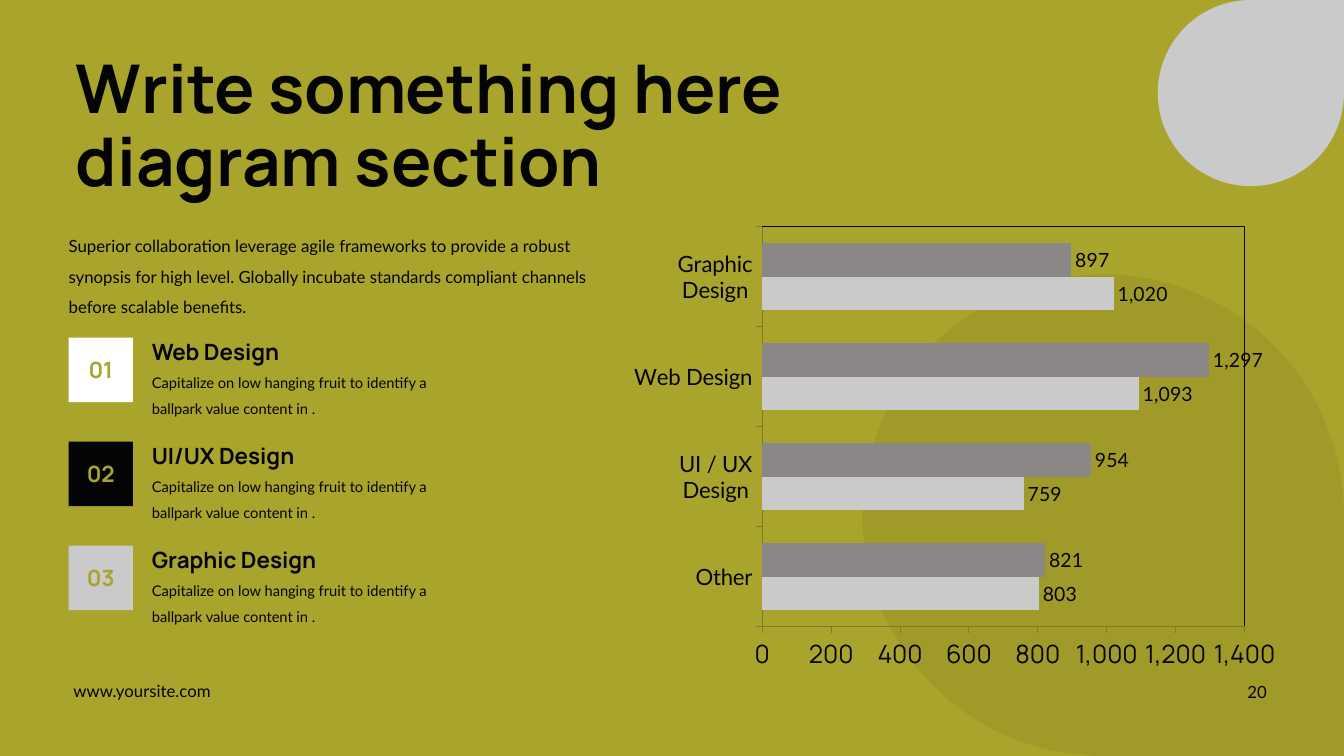
from dataclasses import dataclass

from lxml.etree import SubElement
from pptx import Presentation
from pptx.chart.data import CategoryChartData
from pptx.dml.color import RGBColor
from pptx.enum.chart import XL_CHART_TYPE, XL_LABEL_POSITION, XL_TICK_MARK
from pptx.enum.shapes import MSO_SHAPE
from pptx.enum.text import MSO_ANCHOR, MSO_AUTO_SIZE, PP_ALIGN
from pptx.oxml import parse_xml
from pptx.oxml.ns import nsdecls, qn
from pptx.util import Pt


@dataclass(frozen=True)
class Theme:
    olive: str = "A9A42C"
    dark_olive: str = "7F7B21"
    ink: str = "040404"
    silver: str = "CACACA"
    gray: str = "8C8787"
    white: str = "FFFFFF"
    heading_font: str = "Manrope"
    body_font: str = "Lato"
    title: float = 48
    heading: float = 16
    body: float = 12
    small: float = 10.5
    value_axis: float = 18
    category_axis: float = 16
    data_label: float = 14


class SlideBuilder:
    def __init__(self, deck, theme):
        self.theme = theme
        self.page = deck.slides.add_slide(deck.slide_layouts[5])
        background = self.page.background.fill
        background.solid()
        background.fore_color.rgb = RGBColor.from_string(theme.olive)

    def style_font(self, font, name, size, color, bold=False):
        font.name = name
        font.size = Pt(size)
        font.bold = bold
        font.color.rgb = RGBColor.from_string(color)

    def place(self, shape, left, top, width, height):
        shape.left, shape.top = Pt(left), Pt(top)
        shape.width, shape.height = Pt(width), Pt(height)

    def title(self, text, *bounds):
        box = self.page.shapes.title
        self.place(box, *bounds)
        frame = box.text_frame
        frame.text = text
        frame.word_wrap = True
        frame.auto_size = MSO_AUTO_SIZE.NONE
        frame.vertical_anchor = MSO_ANCHOR.MIDDLE
        para = frame.paragraphs[0]
        para.alignment = PP_ALIGN.LEFT
        para.line_spacing = 0.9
        theme = self.theme
        self.style_font(para.font, theme.heading_font, theme.title, theme.ink, True)

    def text(self, text, bounds, size, heading=False, color=None,
             align=PP_ALIGN.LEFT, spacing=1.0):
        box = self.page.shapes.add_textbox(*map(Pt, bounds))
        frame = box.text_frame
        frame.word_wrap = True
        frame.margin_left = frame.margin_right = 0
        frame.margin_top = frame.margin_bottom = 0
        frame.text = text
        para = frame.paragraphs[0]
        para.alignment = align
        para.line_spacing = spacing
        name = self.theme.heading_font if heading else self.theme.body_font
        self.style_font(para.font, name, size, color or self.theme.ink, heading)

    def shape(self, kind, color, *bounds, rotation=0, opacity=100):
        shape = self.page.shapes.add_shape(kind, *map(Pt, bounds))
        shape.shadow.inherit = False
        shape.rotation = rotation
        shape.line.fill.background()
        shape.fill.solid()
        shape.fill.fore_color.rgb = RGBColor.from_string(color)
        if opacity < 100:
            tint = shape.fill._xPr.find(".//" + qn("a:srgbClr"))
            SubElement(tint, qn("a:alpha"), val=str(opacity * 1000))

    def bar_chart(self, categories, series, *bounds):
        theme = self.theme
        data = CategoryChartData(number_format="#,##0")
        data.categories = categories
        for name, values, color in series:
            data.add_series(name, values)
        chart = self.page.shapes.add_chart(
            XL_CHART_TYPE.BAR_CLUSTERED, *map(Pt, bounds), data).chart
        chart.has_legend = False
        chart.has_title = False
        self.style_font(chart.font, theme.body_font, theme.value_axis, theme.ink)

        plot = chart.plots[0]
        plot.gap_width = 100
        plot.overlap = 0
        plot.vary_by_categories = False
        for bars, (name, values, color) in zip(plot.series, series):
            bars.format.fill.solid()
            bars.format.fill.fore_color.rgb = RGBColor.from_string(color)
            labels = bars.data_labels
            labels.show_value = True
            labels.position = XL_LABEL_POSITION.OUTSIDE_END
            labels.number_format = "#,##0"
            labels.number_format_is_linked = False
            self.style_font(labels.font, theme.body_font, theme.data_label, theme.ink)

        for axis, name, size in (
            (chart.category_axis, theme.body_font, theme.category_axis),
            (chart.value_axis, theme.heading_font, theme.value_axis),
        ):
            axis.has_major_gridlines = False
            axis.major_tick_mark = XL_TICK_MARK.OUTSIDE
            axis.minor_tick_mark = XL_TICK_MARK.NONE
            axis.format.line.color.rgb = RGBColor.from_string(theme.dark_olive)
            axis.format.line.width = Pt(0.75)
            self.style_font(axis.tick_labels.font, name, size, theme.ink)
        chart.value_axis.minimum_scale = 0
        chart.value_axis.maximum_scale = 1400
        chart.value_axis.major_unit = 200
        chart.value_axis.tick_labels.number_format = "#,##0"
        chart.value_axis.tick_labels.number_format_is_linked = False
        self.frame_plot(chart, x=0.2, y=0, w=0.76, h=0.9)

    def frame_plot(self, chart, **fractions):
        area = chart._chartSpace.find(".//" + qn("c:plotArea"))
        for layout in area.findall(qn("c:layout")):
            area.remove(layout)
        layout = SubElement(area, qn("c:layout"))
        area.insert(0, layout)
        manual = SubElement(layout, qn("c:manualLayout"))
        settings = {"layoutTarget": "inner", "xMode": "edge", "yMode": "edge", **fractions}
        for tag, value in settings.items():
            SubElement(manual, qn("c:" + tag), val=str(value))
        area.append(parse_xml(
            f'<c:spPr {nsdecls("c", "a")}><a:noFill/><a:ln w="9525"><a:solidFill>'
            f'<a:srgbClr val="{self.theme.ink}"/></a:solidFill></a:ln></c:spPr>'))


def main():
    deck = Presentation()
    deck.slide_width, deck.slide_height = Pt(960), Pt(540)
    theme = Theme()
    slide = SlideBuilder(deck, theme)

    slide.shape(MSO_SHAPE.TEAR, theme.silver, 827, 0, 133, 133)
    slide.shape(MSO_SHAPE.TEAR, theme.ink, 616, 196, 344, 344, rotation=90, opacity=5)
    slide.title("Write something here diagram section", 47, 29.5, 682.5, 124)
    slide.text(
        "Superior collaboration leverage agile frameworks to provide a robust synopsis "
        "for high level. Globally incubate standards compliant channels before scalable "
        "benefits.", (49, 161.5, 375, 63), theme.body, spacing=1.5)

    services = (
        ("Web Design", theme.white),
        ("UI/UX Design", theme.ink),
        ("Graphic Design", theme.silver),
    )
    for index, (service, color) in enumerate(services):
        top = 241.2 + index * 74.3
        slide.shape(MSO_SHAPE.RECTANGLE, color, 49, top, 46, 46)
        slide.text(f"{index + 1:02}", (57.5, top + 13.3, 29, 19.5), theme.heading,
                   heading=True, color=theme.olive, align=PP_ALIGN.CENTER)
        slide.text(service, (108.5, top, 186, 19.5), theme.heading, heading=True)
        slide.text("Capitalize on low hanging fruit to identify a ballpark value content in .",
                   (108.5, top + 19.3, 218, 36), theme.small, spacing=1.5)

    slide.bar_chart(
        ("Other", "UI / UX Design", "Web Design", "Graphic Design"),
        (("Series 1", (803, 759, 1093, 1020), theme.silver),
         ("Series 2", (821, 954, 1297, 897), theme.gray)),
        453, 161.5, 458, 318)
    slide.text("www.yoursite.com", (52.5, 486, 195, 14.5), theme.body)
    slide.text("20", (703.5, 486.8, 201.5, 14.5), theme.body, align=PP_ALIGN.RIGHT)
    deck.save("out.pptx")


if __name__ == "__main__":
    main()
